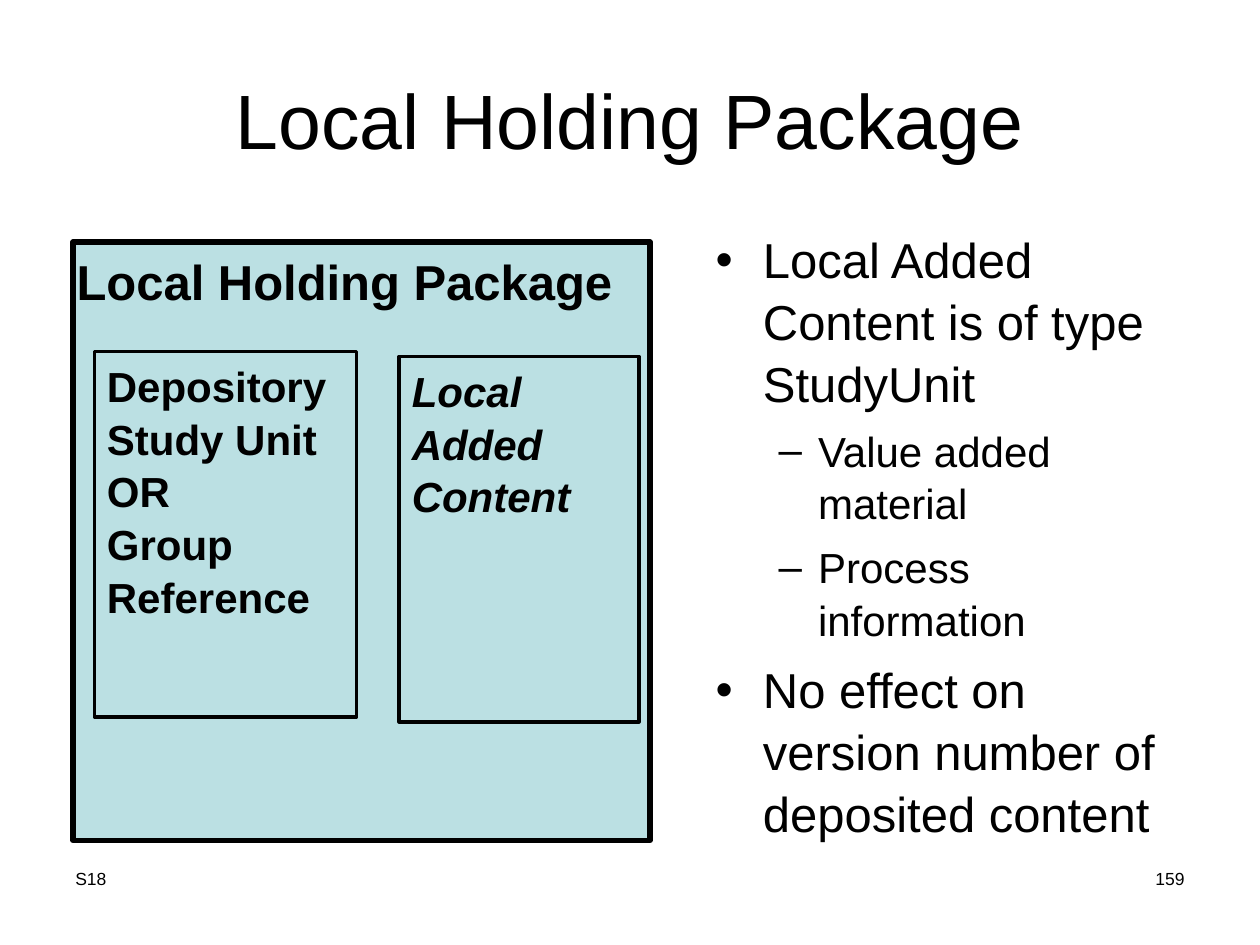
from pptx import Presentation
from pptx import util as u
from pptx.dml.color import RGBColor
from pptx.enum import shapes, text

PX = 9144  # 100 px to the inch
COLORS = {"ink": "000000", "panel": "BBE0E3"}
LINE_SPACING = 1.05


def color(name):
    return RGBColor.from_string(COLORS[name])


def place(shape, box):
    shape.left, shape.top, shape.width, shape.height = (n * PX for n in box)


def inside(box, left, top, width, height):
    """Turn a box relative to another one into slide px."""
    return box[0] + left, box[1] + top, width, height


def write(frame, lines, size, bold=False, italic=False,
          align=text.PP_ALIGN.LEFT, anchor=text.MSO_ANCHOR.TOP, wrap=True):
    frame.word_wrap = wrap
    frame.auto_size = text.MSO_AUTO_SIZE.NONE
    frame.vertical_anchor = anchor
    frame.text = "\n".join(lines)
    for paragraph in frame.paragraphs:
        paragraph.alignment = align
        paragraph.line_spacing = LINE_SPACING
        style(paragraph.font, size, bold, italic)


def style(font, size, bold=False, italic=False):
    font.name, font.size = "Arial", u.Pt(size)
    font.bold, font.italic = bold, italic
    font.color.rgb = color("ink")


def add_label(slide, box, label, size, **options):
    place(holder := slide.shapes.add_textbox(0, 0, 0, 0), box)
    write(holder.text_frame, [label], size, **options)


def add_frame(slide, box, weight, fill=None):
    frame = slide.shapes.add_shape(shapes.MSO_SHAPE.RECTANGLE, 0, 0, 0, 0)
    place(frame, box)
    frame.shadow.inherit = False
    frame.line.color.rgb = color("ink")
    frame.line.width = u.Pt(weight)
    if fill:
        frame.fill.solid()
        frame.fill.fore_color.rgb = color(fill)
    else:
        frame.fill.background()
    return frame


def add_title(slide, box, title):
    place(slide.shapes.title, box)
    write(slide.shapes.title.text_frame, [title], 44,
          align=text.PP_ALIGN.CENTER, anchor=text.MSO_ANCHOR.MIDDLE)


def add_package(slide, box):
    """Draw the holding package with its two content parts."""
    add_frame(slide, box, 3, "panel")
    add_label(slide, inside(box, -7, 0, 445, 57), "Local Holding Package", 28,
              bold=True, wrap=False)
    parts = [
        ((17, 87, 208, 290),
         ["Depository", "Study Unit", "OR", "Group", "Reference"], False),
        ((259, 91, 190, 290), ["Local", "Added", "Content"], True),
    ]
    for part_box, lines, italic in parts:
        part = add_frame(slide, inside(box, *part_box), 2.25)
        write(part.text_frame, lines, 24, bold=True, italic=italic)


def add_notes_list(slide, box, points):
    body = slide.placeholders[1]
    place(body, box)
    write(body.text_frame, [point for _, point in points], 28)
    for i, (paragraph, (level, _)) in enumerate(
            zip(body.text_frame.paragraphs, points)):
        paragraph.level = level
        paragraph.font.size = u.Pt((28, 24)[level])
        paragraph.space_before = u.Pt((7, 6)[level] if i else 0)


def add_footer(slide, box, section, number):
    width = 233
    add_label(slide, inside(box, 0, 0, width, box[3]), section, 10)
    add_label(slide, inside(box, box[2] - width, 0, width, box[3]), number, 10,
              align=text.PP_ALIGN.RIGHT)


def main():
    deck = Presentation()
    deck.slide_width, deck.slide_height = 1000 * PX, 750 * PX
    slide = deck.slides.add_slide(deck.slide_layouts[1])
    add_title(slide, (50, 30, 900, 125), "Local Holding Package")
    add_package(slide, (58, 192, 458, 475))
    add_notes_list(slide, (558, 175, 392, 495), [
        (0, "Local Added Content is of type StudyUnit"),
        (1, "Value added material"),
        (1, "Process information"),
        (0, "No effect on version number of deposited content"),
    ])
    add_footer(slide, (50, 683, 900, 52), "S18", "159")
    deck.save("out.pptx")


if __name__ == "__main__":
    main()
